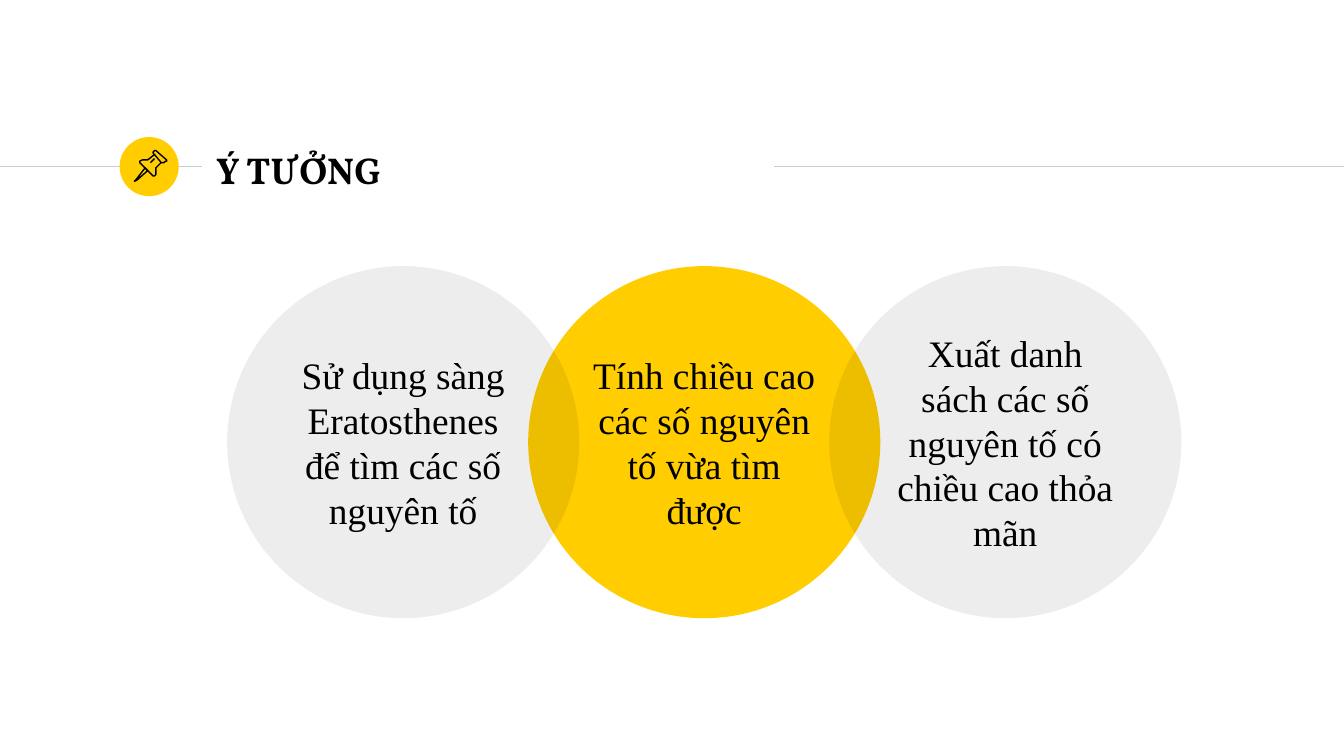
from lxml.etree import SubElement
from pptx import Presentation
from pptx.dml.color import RGBColor
from pptx.enum.shapes import MSO_CONNECTOR, MSO_SHAPE
from pptx.enum.text import MSO_ANCHOR, PP_ALIGN
from pptx.oxml.ns import qn
from pptx.util import Inches, Pt

# Content
COLORS = {"yellow": "FFCD00", "black": "000000", "rule": "CCCCCC"}
TITLE = "Ý TƯỞNG"
# Step position, wording, fill, opacity in percent; back to front
STEPS = [
    (1, "Tính chiều cao các số nguyên tố vừa tìm được", "yellow", 100),
    (0, "Sử dụng sàng Eratosthenes để tìm các số nguyên tố", "black", 7),
    (2, "Xuất danh sách các số nguyên tố có chiều cao thỏa mãn", "black", 7),
]
STEP_LEFT, STEP_TOP, STEP_SIZE, STEP_PITCH = 1.69, 1.98, 2.62, 2.24
RULE_Y = 1.24
RULES = [(0, 1.5), (5.76, 10)]

# Pushpin outlines: points and whether the outline closes
PIN = [
    ([(1.08, 1.25), (1.01, 1.34), (1, 1.35), (1.02, 1.34), (1.1, 1.27)], True),
    ([(1.15, 1.15), (1.2, 1.21), (1.22, 1.21), (1.23, 1.2), (1.24, 1.2),
      (1.24, 1.19), (1.16, 1.12), (1.15, 1.12), (1.14, 1.13), (1.14, 1.14)], True),
    ([(1.15, 1.15), (1.1, 1.19), (1.08, 1.19), (1.06, 1.19), (1.04, 1.2),
      (1.04, 1.21), (1.14, 1.31), (1.15, 1.31), (1.16, 1.3), (1.16, 1.28),
      (1.16, 1.25), (1.2, 1.21)], False),
    ([(1.12, 1.21), (1.15, 1.18)], False),
]


def color(name):
    return RGBColor.from_string(COLORS[name])


def add_circle(left, top, size, fill, opacity=100):
    circle = page.shapes.add_shape(
        MSO_SHAPE.OVAL, Inches(left), Inches(top), Inches(size), Inches(size))
    circle.shadow.inherit = False
    circle.fill.solid()
    circle.fill.fore_color.rgb = color(fill)
    circle.line.fill.background()
    if opacity < 100:
        tint = circle.fill._xPr.find(".//" + qn("a:srgbClr"))
        SubElement(tint, qn("a:alpha"), val=str(opacity * 1000))
    return circle


def write(box, text, font, align, bold=False):
    frame = box.text_frame
    frame.word_wrap = True
    frame.vertical_anchor = MSO_ANCHOR.MIDDLE
    frame.margin_left = frame.margin_right = Inches(0.1)
    frame.margin_top = frame.margin_bottom = Inches(0.1)
    para = frame.paragraphs[0]
    para.alignment = align
    span = para.add_run()
    span.text = text
    span.font.name = font
    span.font.size = Pt(20)
    span.font.bold = bold
    span.font.color.rgb = color("black")
    return para


deck = Presentation()
deck.slide_width, deck.slide_height = Inches(10), Inches(5.625)
page = deck.slides.add_slide(deck.slide_layouts[6])

# Header rules and badge
for start, end in RULES:
    rule = page.shapes.add_connector(
        MSO_CONNECTOR.STRAIGHT, Inches(start), Inches(RULE_Y), Inches(end), Inches(RULE_Y))
    rule.line.color.rgb = color("rule")
    rule.line.width = Pt(0.75)
    SubElement(rule._element.spPr, qn("a:effectLst"))
add_circle(0.89, 1.02, 0.44, "yellow")

# Title
title = page.shapes.add_textbox(Inches(1.51), Inches(1.02), Inches(4.24), Inches(0.48))
write(title, TITLE, "Vollkorn", PP_ALIGN.LEFT, bold=True)

# Overlapping step circles
for position, text, fill, opacity in STEPS:
    step = add_circle(STEP_LEFT + position * STEP_PITCH, STEP_TOP, STEP_SIZE, fill, opacity)
    write(step, text, "Times New Roman", PP_ALIGN.CENTER).line_spacing = Pt(24)

# Pushpin icon
pin = page.shapes.add_group_shape()
for points, closed in PIN:
    corners = [(Inches(x), Inches(y)) for x, y in points]
    builder = pin.shapes.build_freeform(*corners[0])
    builder.add_line_segments(corners[1:], close=closed)
    outline = builder.convert_to_shape()
    outline.shadow.inherit = False
    outline.fill.background()
    outline.line.color.rgb = color("black")
    outline.line.width = Pt(0.75)

deck.save("out.pptx")
